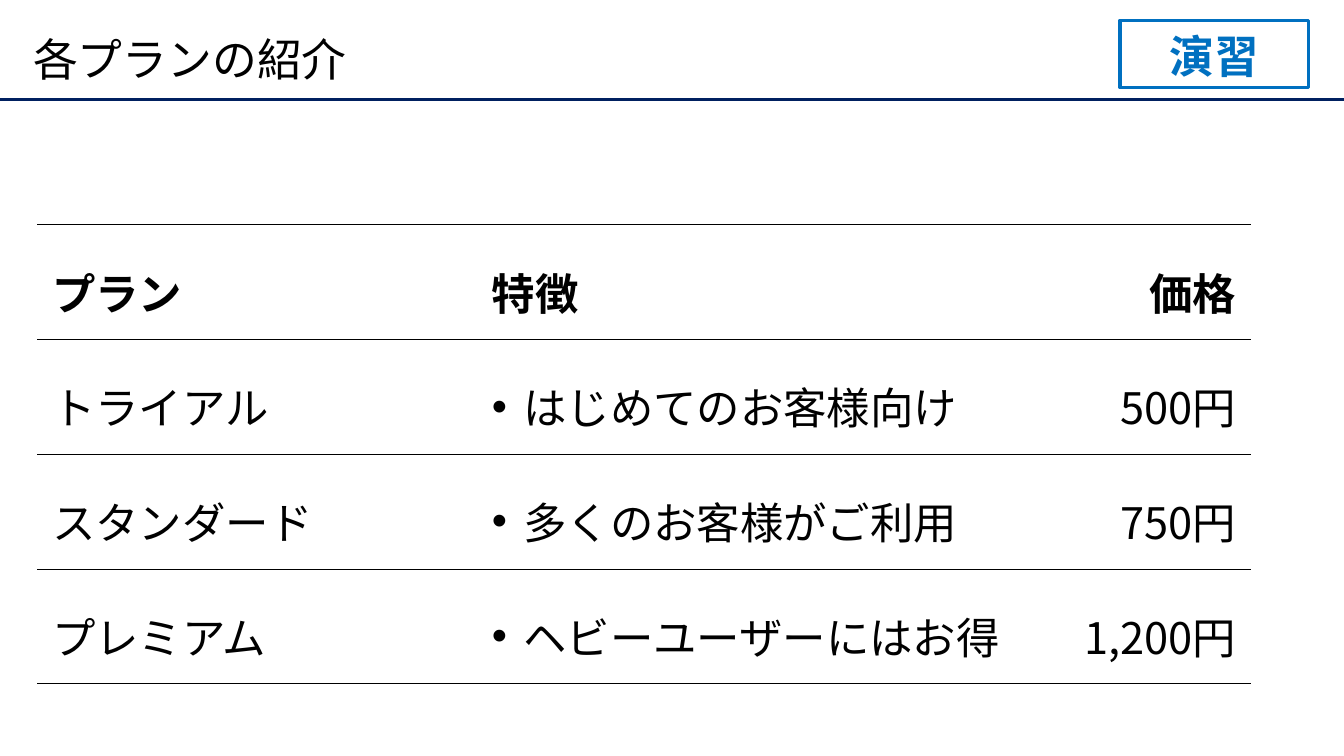
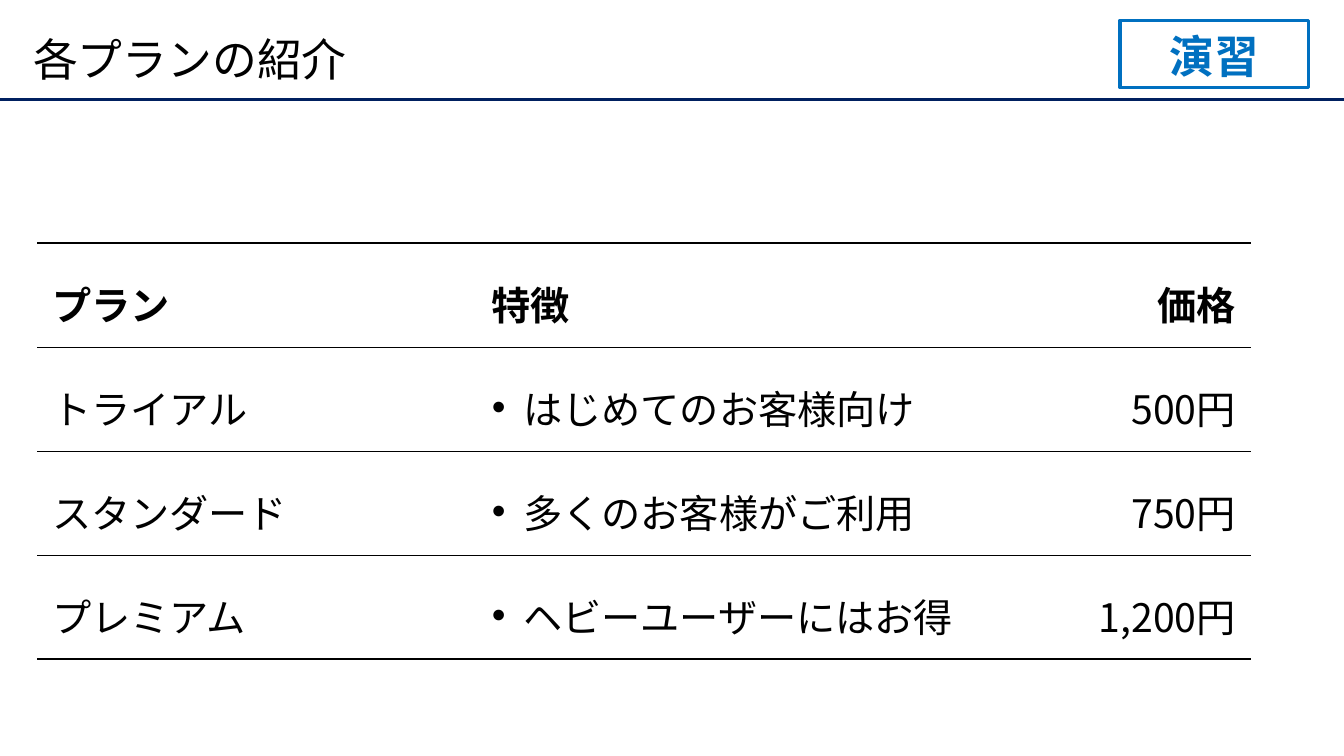
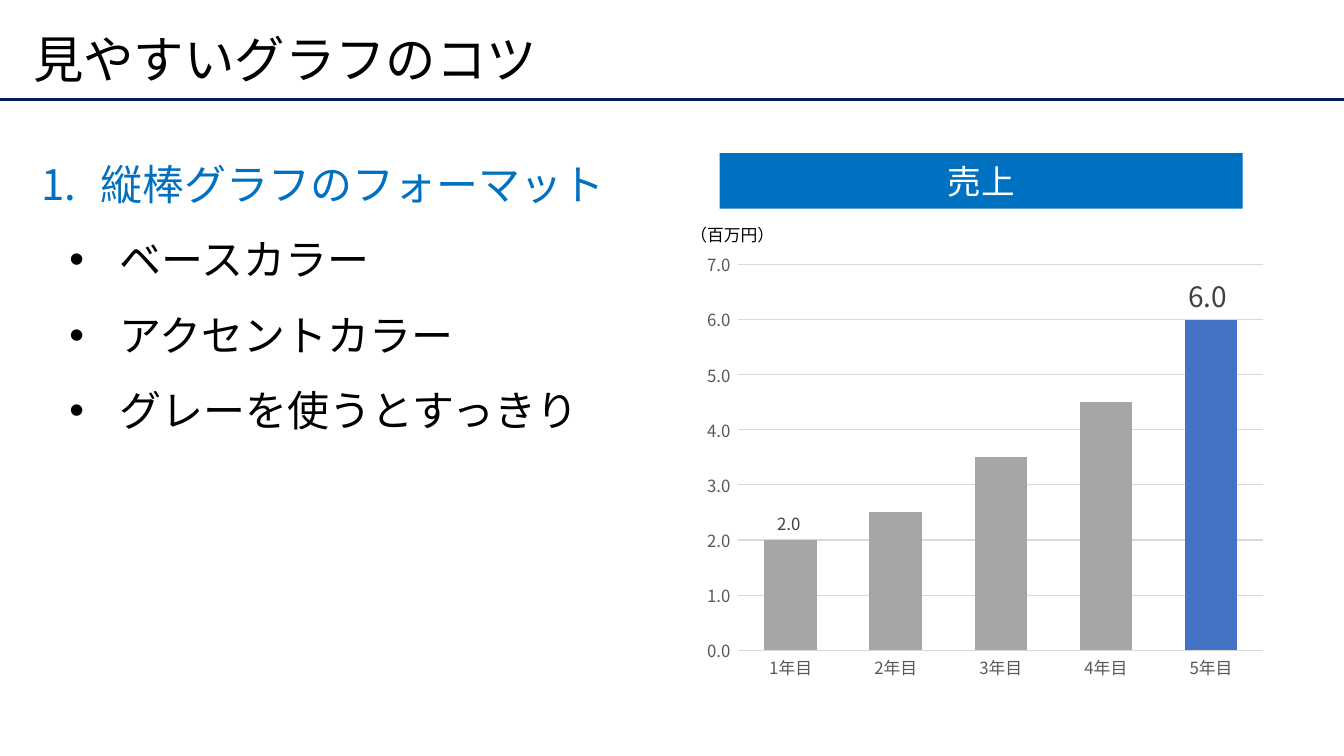
from pptx import Presentation
from pptx.chart.data import CategoryChartData
from pptx.dml.color import RGBColor
from pptx.enum.chart import XL_CHART_TYPE, XL_LABEL_POSITION, XL_TICK_MARK
from pptx.enum.shapes import MSO_CONNECTOR, MSO_SHAPE
from pptx.enum.text import MSO_ANCHOR, PP_ALIGN
from pptx.oxml.ns import qn
from pptx.util import Pt
from lxml.etree import SubElement

FONT = "Noto Sans CJK JP"
BLACK = RGBColor(0x00, 0x00, 0x00)
WHITE = RGBColor(0xFF, 0xFF, 0xFF)
NAVY = RGBColor(0x00, 0x20, 0x60)
BLUE = RGBColor(0x00, 0x70, 0xC0)
ACCENT = RGBColor(0x44, 0x72, 0xC4)
BASE = RGBColor(0xA6, 0xA6, 0xA6)
GRID = RGBColor(0xD9, 0xD9, 0xD9)
AXIS_TEXT = RGBColor(0x59, 0x59, 0x59)
LABEL_TEXT = RGBColor(0x40, 0x40, 0x40)

SLIDE_W, SLIDE_H = 960, 540
RULE_Y = 71.28

PLANS_TITLE = "各プランの紹介"
PLANS = [
    ("プラン", "特徴", "価格"),
    ("トライアル", "はじめてのお客様向け", "500円"),
    ("スタンダード", "多くのお客様がご利用", "750円"),
    ("プレミアム", "ヘビーユーザーにはお得", "1,200円"),
]
PLAN_COLS = (314, 388, 165)
PLAN_TABLES = [
    dict(top=160.5, row_h=82, size=31, pad=11.8),
    dict(top=173.5, row_h=74.3, size=28, pad=10.8),
]

CHART_TITLE = "見やすいグラフのコツ"
TIPS_HEAD = "縦棒グラフのフォーマット"
TIPS = ["ベースカラー", "アクセントカラー", "グレーを使うとすっきり"]
SALES = {"1年目": 2, "2年目": 2.5, "3年目": 3.5, "4年目": 4.5, "5年目": 6}
SALES_LABELS = {0: 12, 4: 20}


def set_font(font, size, color, bold=False):
    font.name, font.size, font.bold = FONT, Pt(size), bold
    font.color.rgb = color


def write(tf, text, size=32, color=BLACK, bold=False, align=PP_ALIGN.LEFT,
          spacing=None, bullet=None, indent=(0, 0), anchor=None, first=True):
    """Write one paragraph; bullet is a character or "1." for numbering."""
    p = tf.paragraphs[0] if first else tf.add_paragraph()
    p.alignment = align
    if spacing:
        p.line_spacing = spacing
    if anchor is not None:
        tf.vertical_anchor = anchor
    r = p.add_run()
    r.text = text
    set_font(r.font, size, color, bold)
    SubElement(r.font._element, qn("a:ea"), typeface=FONT)
    if bullet:
        pPr = p._p.get_or_add_pPr()
        left, hanging = indent
        pPr.set("marL", str(Pt(left)))
        pPr.set("indent", str(Pt(-hanging)))
        SubElement(pPr, qn("a:buFont"), typeface=FONT if bullet == "1." else "Arial")
        if bullet == "1.":
            SubElement(pPr, qn("a:buAutoNum"), type="arabicPeriod")
        else:
            SubElement(pPr, qn("a:buChar"), char=bullet)


def add_text(slide, x, y, w, h, text, wrap=True, **fmt):
    tf = slide.shapes.add_textbox(Pt(x), Pt(y), Pt(w), Pt(h)).text_frame
    tf.word_wrap = wrap
    write(tf, text, **fmt)
    return tf


def add_box(slide, x, y, w, h, text, fill=None, line=None, **fmt):
    sp = slide.shapes.add_shape(MSO_SHAPE.RECTANGLE, Pt(x), Pt(y), Pt(w), Pt(h))
    sp.shadow.inherit = False
    if fill is None:
        sp.fill.background()
    else:
        sp.fill.solid()
        sp.fill.fore_color.rgb = fill
    if line is None:
        sp.line.fill.background()
    else:
        sp.line.color.rgb = line
        sp.line.width = Pt(2.25)
    write(sp.text_frame, text, align=PP_ALIGN.CENTER, **fmt)


def new_slide(prs, title, size):
    """Add a slide with the shared rule and title."""
    slide = prs.slides.add_slide(prs.slide_layouts[6])
    rule = slide.shapes.add_connector(
        MSO_CONNECTOR.STRAIGHT, 0, Pt(RULE_Y), Pt(SLIDE_W), Pt(RULE_Y))
    rule.line.color.rgb = NAVY
    rule.line.width = Pt(2.25)
    SubElement(rule._element.spPr, qn("a:effectLst"))
    add_text(slide, 16.5, 14.4, 907, 60.5, title, size=size, spacing=0.9,
             anchor=MSO_ANCHOR.MIDDLE)
    return slide


def set_borders(cell, top, bottom):
    """Draw horizontal borders of the given widths and no vertical ones."""
    tcPr = cell._tc.get_or_add_tcPr()
    widths = {"a:lnL": 0, "a:lnR": 0, "a:lnT": top, "a:lnB": bottom}
    for i, (tag, width) in enumerate(widths.items()):
        ln = SubElement(tcPr, qn(tag), w=str(Pt(width)))
        tcPr.insert(i, ln)
        if width:
            fill = SubElement(ln, qn("a:solidFill"))
            SubElement(fill, qn("a:srgbClr"), val=str(BLACK))
        else:
            SubElement(ln, qn("a:noFill"))


def add_plan_table(slide, top, row_h, size, pad):
    rows = len(PLANS)
    table = slide.shapes.add_table(
        rows, len(PLAN_COLS), Pt(26.5), Pt(top),
        Pt(sum(PLAN_COLS)), Pt(row_h * rows)).table
    table.first_row = table.horz_banding = False
    for column, width in zip(table.columns, PLAN_COLS):
        column.width = Pt(width)
    for i, plan in enumerate(PLANS):
        table.rows[i].height = Pt(row_h)
        head = i == 0
        for j, text in enumerate(plan):
            cell = table.cell(i, j)
            cell.fill.background()
            cell.margin_left = cell.margin_right = Pt(10.8)
            cell.margin_top = cell.margin_bottom = Pt(pad)
            cell.vertical_anchor = MSO_ANCHOR.MIDDLE if head else MSO_ANCHOR.TOP
            set_borders(cell, 1 if head else 0.25, 1 if i == rows - 1 else 0.25)
            write(cell.text_frame, text, size=size, bold=head, spacing=1.3,
                  align=PP_ALIGN.RIGHT if j == 2 else PP_ALIGN.LEFT,
                  bullet="•" if j == 1 and not head else None, indent=(22.5, 22.5))


def add_sales_chart(slide):
    data = CategoryChartData(number_format="0.0_ ")
    data.categories = list(SALES)
    data.add_series("売上", list(SALES.values()))
    chart = slide.shapes.add_chart(
        XL_CHART_TYPE.COLUMN_CLUSTERED, Pt(496.8), Pt(173.5), Pt(414), Pt(318.2),
        data).chart
    set_font(chart.font, 10, BLACK)
    chart.has_legend = chart.has_title = False

    for axis in (chart.category_axis, chart.value_axis):
        axis.major_tick_mark = axis.minor_tick_mark = XL_TICK_MARK.NONE
        set_font(axis.tick_labels.font, 12, AXIS_TEXT)
    chart.category_axis.format.line.color.rgb = GRID
    chart.category_axis.format.line.width = Pt(0.75)
    values = chart.value_axis
    values.minimum_scale, values.maximum_scale, values.major_unit = 0, 7, 1
    values.tick_labels.number_format = "0.0_ "
    values.tick_labels.number_format_is_linked = False
    values.format.line.fill.background()
    values.major_gridlines.format.line.color.rgb = GRID
    values.major_gridlines.format.line.width = Pt(0.75)

    plot = chart.plots[0]
    plot.vary_by_categories = False
    plot.gap_width, plot.overlap = 100, -27
    series = plot.series[0]
    series.format.fill.solid()
    series.format.fill.fore_color.rgb = BASE
    latest = series.points[len(SALES) - 1].format.fill
    latest.solid()
    latest.fore_color.rgb = ACCENT
    series.data_labels.show_value = False
    for i, size in SALES_LABELS.items():
        label = series.points[i].data_label
        set_font(label.font, size, LABEL_TEXT)
        label.position = XL_LABEL_POSITION.OUTSIDE_END


def main():
    prs = Presentation()
    prs.slide_width, prs.slide_height = Pt(SLIDE_W), Pt(SLIDE_H)

    for layout in PLAN_TABLES:
        slide = new_slide(prs, PLANS_TITLE, 32)
        add_box(slide, 800, 14.4, 134.6, 48.2, "演習", line=BLUE, color=BLUE,
                bold=True, anchor=MSO_ANCHOR.BOTTOM)
        add_plan_table(slide, **layout)

    slide = new_slide(prs, CHART_TITLE, 36)
    tf = add_text(slide, 22.3, 91.4, 901, 220, TIPS_HEAD, size=30, color=BLUE,
                  spacing=1.5, bullet="1.", indent=(42.5, 42.5))
    for tip in TIPS:
        write(tf, tip, size=30, spacing=1.5, bullet="•", indent=(56.2, 36),
              first=False)
    add_sales_chart(slide)
    add_box(slide, 514, 109.4, 373.7, 39.6, "売上", fill=BLUE, size=24,
            color=WHITE, anchor=MSO_ANCHOR.MIDDLE)
    add_text(slide, 486, 157, 75, 21.6, "（百万円）", wrap=False, size=12)

    prs.save("out.pptx")


if __name__ == "__main__":
    main()
